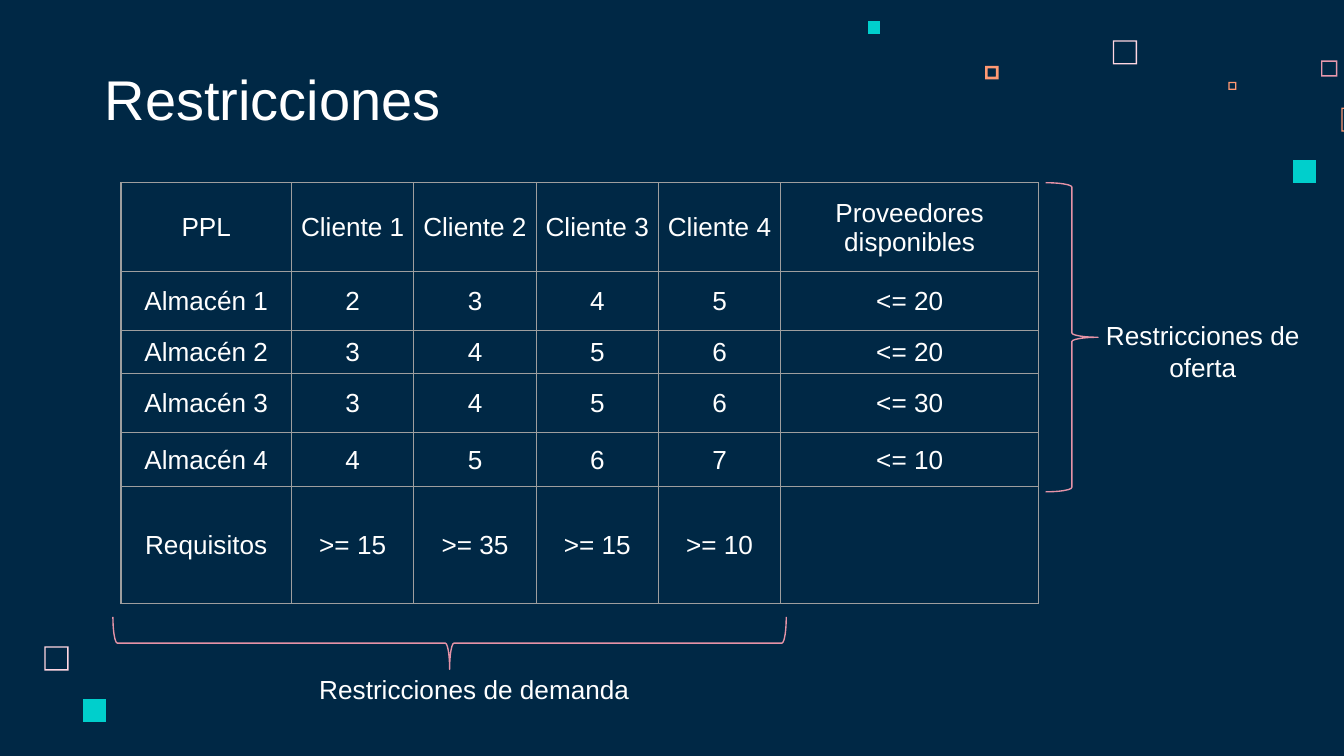
from lxml.etree import SubElement
from pptx import Presentation
from pptx.dml.color import RGBColor
from pptx.enum.shapes import MSO_SHAPE
from pptx.enum.text import MSO_ANCHOR as ANCHOR, MSO_AUTO_SIZE as AUTO, PP_ALIGN as ALIGN
from pptx.oxml import parse_xml
from pptx.oxml.ns import nsdecls, qn
from pptx.util import Inches, Pt

NAVY = RGBColor(0x00, 0x28, 0x45)
WHITE = RGBColor(0xFF, 0xFF, 0xFF)
GREY = RGBColor(0x9E, 0x9E, 0x9E)
TEAL = RGBColor(0x00, 0xCF, 0xCC)
ORANGE = RGBColor(0xFF, 0x99, 0x73)
BLUSH = RGBColor(0xFF, 0xD6, 0xE1)
PINK = RGBColor(0xE8, 0x98, 0xAC)
ROSE = RGBColor(0xE5, 0x93, 0xA7)

SQUARES = [
    (8.28, 0.3, 0.18, BLUSH, 0.01),
    (9.83, 0.45, 0.12, PINK, 0.01),
    (9.14, 0.61, 0.06, ORANGE, 0.01),
    (9.98, 0.8, 0.18, ORANGE, 0.01),
    (9.62, 1.19, 0.17, TEAL, 0),
    (7.33, 0.49, 0.1, ORANGE, 0.02),
    (6.46, 0.16, 0.09, TEAL, 0),
    (0.33, 4.81, 0.18, BLUSH, 0.01),
    (0.62, 5.2, 0.17, TEAL, 0),
]
COLS = [1.27] + [0.91] * 4 + [1.92]
HEIGHTS = [0.66, 0.44, 0.32, 0.44, 0.4, 0.87]
ROWS = [
    ["PPL"] + [f"Cliente {n}" for n in range(1, 5)] + ["Proveedores disponibles"],
    ["Almacén 1", "2", "3", "4", "5", "<= 20"],
    ["Almacén 2", "3", "4", "5", "6", "<= 20"],
    ["Almacén 3", "3", "4", "5", "6", "<= 30"],
    ["Almacén 4", "4", "5", "6", "7", "<= 10"],
    ["Requisitos", ">= 15", ">= 35", ">= 15", ">= 10", ""],
]


def write(tf, text, size=14, color=WHITE, align=ALIGN.CENTER, font="Arial"):
    p = tf.paragraphs[0]
    p.alignment = align
    if text:
        r = p.add_run()
        r.text = text
        r.font.size, r.font.name = Pt(size), font
        r.font.color.rgb = color


class Deck:
    """Holds the style and the current slide, with a method for each element."""

    def __init__(self, width, height, background):
        self.prs = Presentation()
        self.prs.slide_width, self.prs.slide_height = width, height
        self.s = self.prs.slides.add_slide(self.prs.slide_layouts[5])
        self.s.background.fill.solid()
        self.s.background.fill.fore_color.rgb = background

    def title(self, text, x, y, w, h):
        sp = self.s.shapes.title
        sp.left, sp.top, sp.width, sp.height = map(Inches, (x, y, w, h))
        tf = sp.text_frame
        tf.margin_left = tf.margin_right = tf.margin_top = tf.margin_bottom = Inches(0.1)
        tf.vertical_anchor = ANCHOR.BOTTOM
        write(tf, text, size=30, align=ALIGN.LEFT)

    def square(self, x, y, size, color, border):
        insets = [0, border] if border else [0]
        fb = self.s.shapes.build_freeform(Inches(x), Inches(y))
        for inset in insets:
            left, top = Inches(x + inset), Inches(y + inset)
            right, bottom = Inches(x + size - inset), Inches(y + size - inset)
            if inset:
                fb.move_to(left, top)
            fb.add_line_segments([(left, bottom), (right, bottom), (right, top)])
        sp = fb.convert_to_shape()
        sp.shadow.inherit = False
        sp.fill.solid()
        sp.fill.fore_color.rgb = color
        sp.line.fill.background()

    def brace(self, x, y, w, h, rotation=0):
        sp = self.s.shapes.add_shape(MSO_SHAPE.RIGHT_BRACE, *map(Inches, (x, y, w, h)))
        sp.rotation = rotation
        sp.shadow.inherit = False
        sp.fill.background()
        sp.line.color.rgb = ROSE
        sp.line.width = Pt(0.75)

    def label(self, text, x, y, w, h):
        tf = self.s.shapes.add_textbox(*map(Inches, (x, y, w, h))).text_frame
        tf.word_wrap = True
        tf.auto_size = AUTO.SHAPE_TO_FIT_TEXT
        write(tf, text)

    def table(self, rows, x, y, widths, heights):
        frame = self.s.shapes.add_table(len(rows), len(widths), Inches(x), Inches(y),
                                        Inches(sum(widths)), Inches(sum(heights)))
        tbl = frame.table
        tbl.first_row = tbl.horz_banding = False
        for col, w in zip(tbl.columns, widths):
            col.width = Inches(w)
        for row, h, texts in zip(tbl.rows, heights, rows):
            row.height = Inches(h)
            for cell, text in zip(row.cells, texts):
                self.cell(cell, text)

    def cell(self, cell, text):
        cell.fill.background()
        cell.vertical_anchor = ANCHOR.MIDDLE
        cell.margin_left = cell.margin_right = cell.margin_top = Inches(0.01)
        cell.margin_bottom = 0
        write(cell.text_frame, text)
        tc_pr = cell._tc.get_or_add_tcPr()
        for i, side in enumerate("LRTB"):
            ln = parse_xml(f'<a:ln{side} {nsdecls("a")} w="{Pt(0.75)}"/>')
            SubElement(SubElement(ln, qn("a:solidFill")), qn("a:srgbClr"), val=str(GREY))
            tc_pr.insert(i, ln)


def main():
    deck = Deck(Inches(10), Inches(10) * 9 // 16, NAVY)
    for square in SQUARES:
        deck.square(*square)
    deck.title("Restricciones", 0.68, 0.45, 5.17, 0.63)
    deck.table(ROWS, 0.9, 1.36, COLS, HEIGHTS)
    deck.brace(7.78, 1.36, 0.39, 2.3)
    deck.brace(3.15, 2.28, 0.39, 5.01, rotation=90)
    deck.label("Restricciones de demanda", 2.2, 4.96, 2.66, 0.34)
    deck.label("Restricciones de oferta", 8.06, 2.33, 1.78, 0.57)
    deck.prs.save("out.pptx")


if __name__ == "__main__":
    main()
